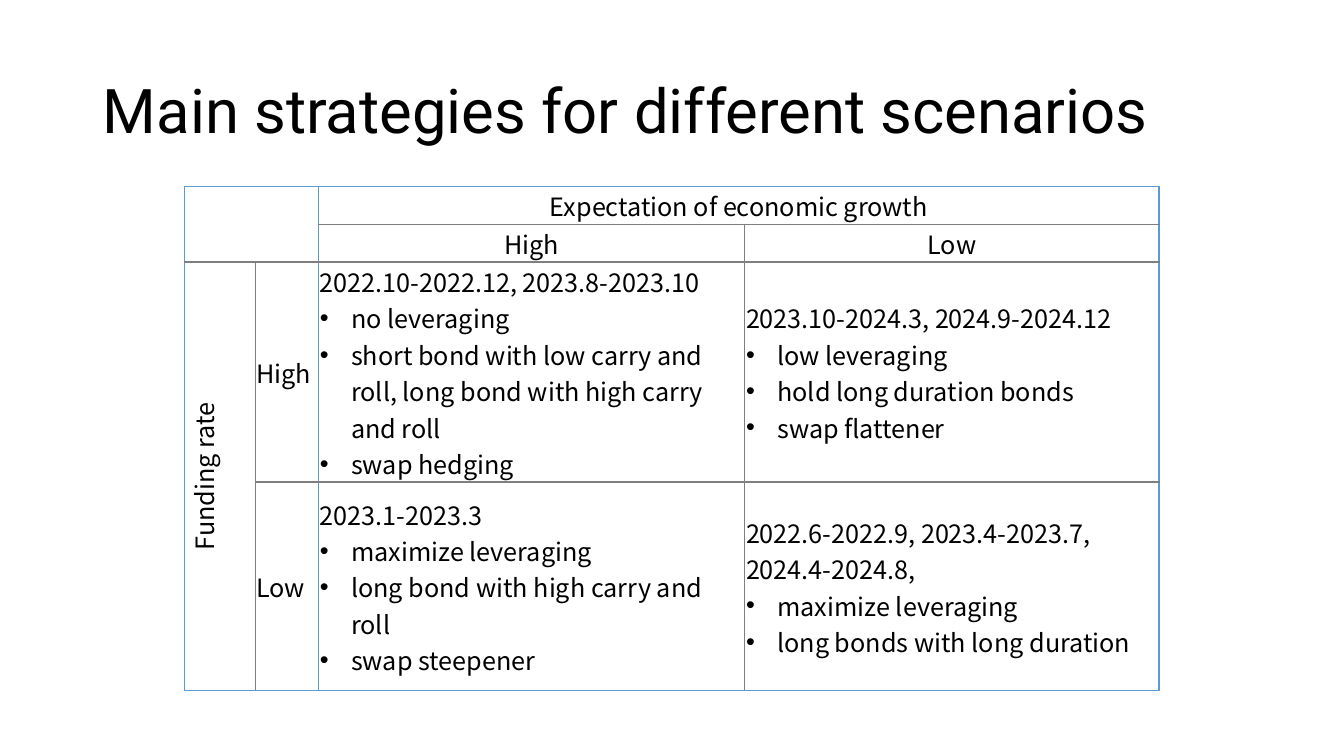
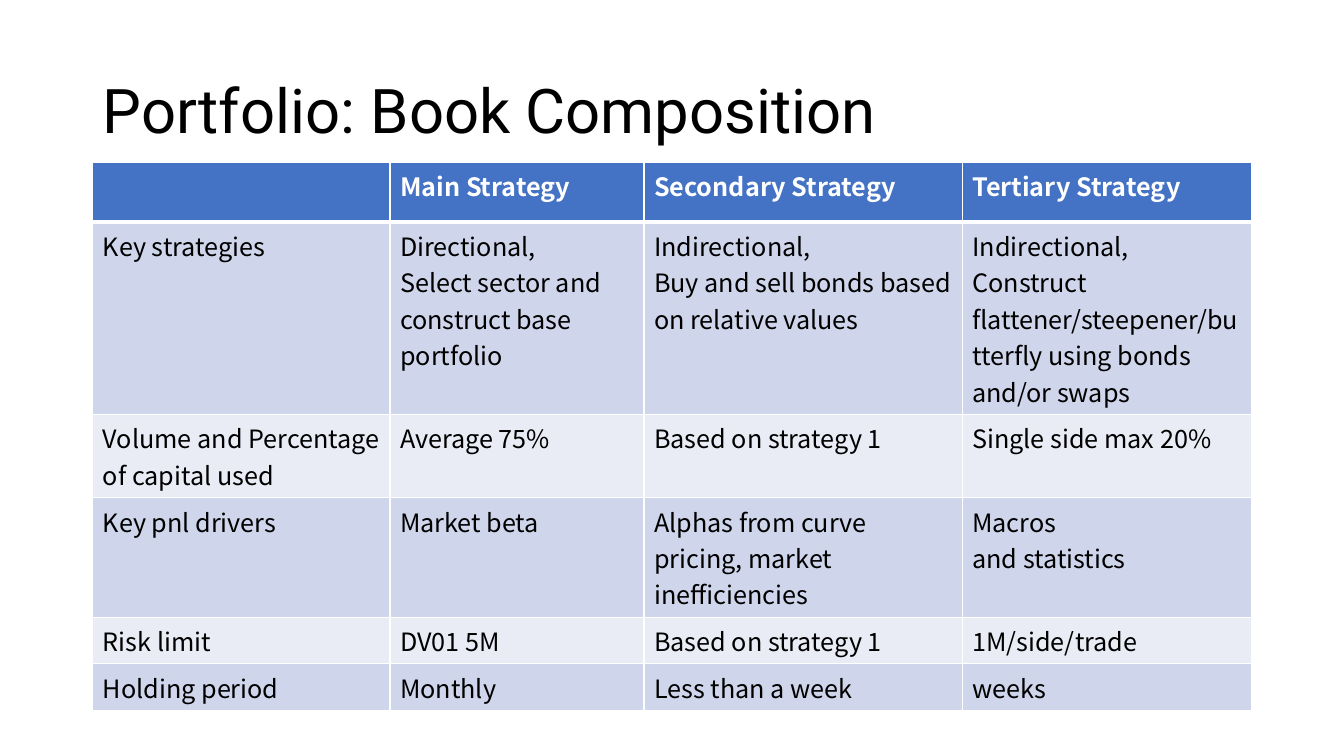
from dataclasses import dataclass
from typing import Callable, NamedTuple

from lxml import etree
from pptx import Presentation
from pptx.dml.color import RGBColor
from pptx.enum.text import MSO_ANCHOR, MSO_AUTO_SIZE, PP_ALIGN
from pptx.oxml.ns import qn
from pptx.util import Cm, Pt

LEFT, CENTER = PP_ALIGN.LEFT, PP_ALIGN.CENTER
TOP, MIDDLE = MSO_ANCHOR.TOP, MSO_ANCHOR.MIDDLE
NO_AUTOFIT = MSO_AUTO_SIZE.NONE
TITLE_ONLY = 5
NO_STYLE = "{2D5ABB26-0587-4C30-8999-92F81FD0307C}"
BULLET = "• "


@dataclass(frozen=True)
class Theme:
    text: str = "000000"
    white: str = "FFFFFF"
    frame: str = "5B9BD5"
    rule: str = "7F7F7F"
    header: str = "4472C4"
    band_dark: str = "CFD5EA"
    band_light: str = "E9EBF5"
    title_font: str = "Roboto"
    body_font: str = "Noto Sans CJK SC"
    title_size: int = 44
    body_size: int = 18


THEME = Theme()


class Line(NamedTuple):
    color: str
    width: float = 1


class Span(NamedTuple):
    """Cells from top-left to bottom-right, both included."""
    top: int
    left: int
    bottom: int
    right: int


@dataclass(frozen=True)
class TableSpec:
    """Lengths in cm; the rules take grid line or row numbers."""
    left: float
    top: float
    cols: list[float]
    rows: list[float]
    cells: list[list[str]]
    col_line: Callable[[int], Line]
    row_line: Callable[[int], Line]
    row_fill: Callable[[int], str | None]
    spans: tuple[Span, ...] = ()
    centered: tuple[tuple[int, int], ...] = ()
    vertical: tuple[tuple[int, int], ...] = ()
    anchor: MSO_ANCHOR = TOP
    tight: bool = False
    header_rows: int = 0


def style_runs(p, font: str, size: int, color: str, bold: bool = False) -> None:
    for r in p.runs:
        r.font.name = font
        r.font.size = Pt(size)
        r.font.bold = bold
        r.font.color.rgb = RGBColor.from_string(color)


def add_title_slide(prs, title: str):
    slide = prs.slides.add_slide(prs.slide_layouts[TITLE_ONLY])
    sp = slide.shapes.title
    sp.left, sp.top, sp.width, sp.height = Cm(2.34), Cm(1.02), Cm(29.21), Cm(3.68)
    tf = sp.text_frame
    tf.text = title
    tf.auto_size = NO_AUTOFIT
    tf.vertical_anchor = MIDDLE
    p = tf.paragraphs[0]
    p.alignment = LEFT
    p.line_spacing = 0.9
    style_runs(p, THEME.title_font, THEME.title_size, THEME.text)
    return slide


def add_bullet(p) -> None:
    pPr = p._p.get_or_add_pPr()
    pPr.set("marL", str(Cm(0.79)))
    pPr.set("indent", str(-Cm(0.79)))
    etree.SubElement(pPr, qn("a:buFont")).set("typeface", "Arial")
    etree.SubElement(pPr, qn("a:buChar")).set("char", BULLET.strip())


def fill_text(cell, text: str, align: PP_ALIGN, color: str, bold: bool) -> None:
    """Write one paragraph a line; a leading bullet mark makes a list item."""
    tf = cell.text_frame
    for i, line in enumerate(text.split("\n")):
        p = tf.add_paragraph() if i else tf.paragraphs[0]
        if line.startswith(BULLET):
            add_bullet(p)
        p.text = line.removeprefix(BULLET)
        p.alignment = align
        style_runs(p, THEME.body_font, THEME.body_size, color, bold)


def add_border(cell, side: str, line: Line) -> None:
    ln = etree.SubElement(cell._tc.get_or_add_tcPr(), qn(f"a:ln{side}"))
    ln.set("w", str(Pt(line.width)))
    solid = etree.SubElement(ln, qn("a:solidFill"))
    etree.SubElement(solid, qn("a:srgbClr")).set("val", line.color)


def draw_borders(cell, row: int, col: int, spec: TableSpec) -> None:
    """Outline the cell, or the merged area that it belongs to."""
    area = next((s for s in spec.spans if s.top <= row <= s.bottom
                 and s.left <= col <= s.right), Span(row, col, row, col))
    origin = (row, col) == (area.top, area.left)
    for side, on_edge, line in (
        ("L", col == area.left, spec.col_line(area.left)),
        ("R", col == area.right, spec.col_line(area.right + 1)),
        ("T", row == area.top, spec.row_line(area.top)),
        ("B", row == area.bottom, spec.row_line(area.bottom + 1)),
    ):
        if origin or on_edge:
            add_border(cell, side, line)


def format_cell(cell, row: int, col: int, spec: TableSpec) -> None:
    draw_borders(cell, row, col, spec)
    color = spec.row_fill(row)
    if color:
        cell.fill.solid()
        cell.fill.fore_color.rgb = RGBColor.from_string(color)
    else:
        cell.fill.background()
    cell.vertical_anchor = spec.anchor
    if spec.tight:
        cell.margin_left = cell.margin_right = cell.margin_top = Cm(0.03)
        cell.margin_bottom = 0
    if (row, col) in spec.vertical:
        cell._tc.get_or_add_tcPr().set("vert", "vert270")
    if spec.cells[row][col]:
        header = row < spec.header_rows
        fill_text(cell, spec.cells[row][col],
                  CENTER if (row, col) in spec.centered else LEFT,
                  THEME.white if header else THEME.text, header)


def add_table(slide, spec: TableSpec) -> None:
    frame = slide.shapes.add_table(
        len(spec.rows), len(spec.cols), Cm(spec.left), Cm(spec.top),
        Cm(sum(spec.cols)), Cm(sum(spec.rows)))
    table = frame.table
    table.first_row = spec.header_rows > 0
    table.horz_banding = False
    table._tbl.tblPr.find(qn("a:tableStyleId")).text = NO_STYLE
    for column, width in zip(table.columns, spec.cols):
        column.width = Cm(width)
    for table_row, height in zip(table.rows, spec.rows):
        table_row.height = Cm(height)
    for s in spec.spans:
        table.cell(s.top, s.left).merge(table.cell(s.bottom, s.right))
    for row in range(len(spec.rows)):
        for col in range(len(spec.cols)):
            format_cell(table.cell(row, col), row, col, spec)


def scenario_line(*blue: int) -> Callable[[int], Line]:
    return lambda i: Line(THEME.frame if i in blue else THEME.rule)


def composition_fill(row: int) -> str:
    if row == 0:
        return THEME.header
    return THEME.band_dark if row % 2 else THEME.band_light


SCENARIOS = TableSpec(
    left=4.65, top=4.7,
    cols=[1.78, 1.6, 10.74, 10.44],
    rows=[0.94, 0.94, 5.26, 5.26],
    cells=[
        ["", "", "Expectation of economic growth", ""],
        ["", "", "High", "Low"],
        ["Funding rate", "High",
         "2022.10-2022.12, 2023.8-2023.10\n• no leveraging\n"
         "• short bond with low carry and roll, long bond with high carry and roll\n"
         "• swap hedging",
         "2023.10-2024.3, 2024.9-2024.12\n• low leveraging\n"
         "• hold long duration bonds\n• swap flattener"],
        ["", "Low",
         "2023.1-2023.3\n• maximize leveraging\n"
         "• long bond with high carry and roll\n• swap steepener",
         "2022.6-2022.9, 2023.4-2023.7, 2024.4-2024.8,\n"
         "• maximize leveraging\n• long bonds with long duration"],
    ],
    col_line=scenario_line(0, 2, 4),
    row_line=scenario_line(0, 4),
    row_fill=lambda row: None,
    spans=(Span(0, 0, 1, 1), Span(0, 2, 0, 3), Span(2, 0, 3, 0)),
    centered=((0, 2), (1, 2), (1, 3), (2, 0)),
    vertical=((2, 0),),
    anchor=MIDDLE,
    tight=True,
)

COMPOSITION = TableSpec(
    left=2.34, top=4.1,
    cols=[7.49, 6.4, 8.02, 7.3],
    rows=[1.5] + [1.04] * 5,
    cells=[
        ["", "Main Strategy", "Secondary Strategy", "Tertiary Strategy"],
        ["Key strategies",
         "Directional,\nSelect sector and construct base portfolio",
         "Indirectional,\nBuy and sell bonds based on relative values",
         "Indirectional,\nConstruct flattener/steepener/butterfly using bonds and/or swaps"],
        ["Volume and Percentage of capital used", "Average 75%",
         "Based on strategy 1", "Single side max 20%"],
        ["Key pnl drivers", "Market beta",
         "Alphas from curve pricing, market inefficiencies",
         "Macros\nand statistics"],
        ["Risk limit", "DV01 5M", "Based on strategy 1", "1M/side/trade"],
        ["Holding period", "Monthly", "Less than a week", "weeks"],
    ],
    col_line=lambda i: Line(THEME.white),
    row_line=lambda i: Line(THEME.white, 3 if i == 1 else 1),
    row_fill=composition_fill,
    header_rows=1,
)


def main() -> None:
    prs = Presentation()
    prs.slide_width, prs.slide_height = Cm(33.87), Cm(19.05)
    for title, spec in (
        ("Main strategies for different scenarios", SCENARIOS),
        ("Portfolio: Book Composition", COMPOSITION),
    ):
        add_table(add_title_slide(prs, title), spec)
    prs.save("out.pptx")


if __name__ == "__main__":
    main()
